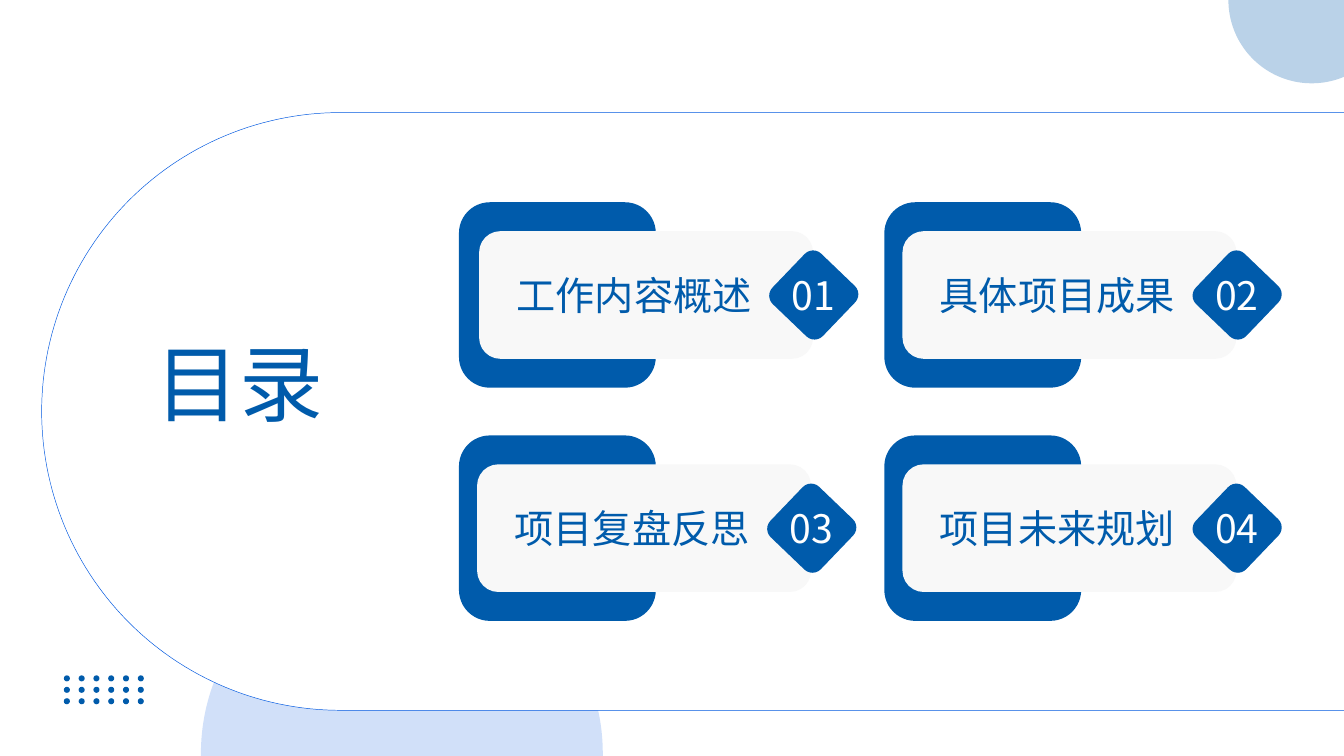
from math import cos, radians, sin
from typing import NamedTuple

from lxml.etree import SubElement
from pptx import Presentation
from pptx.dml.color import RGBColor
from pptx.enum.shapes import MSO_SHAPE as SHAPE
from pptx.enum.text import PP_ALIGN as ALIGN
from pptx.oxml.ns import qn
from pptx.util import Inches, Pt

# The slide is a grid of 2000 columns by 1125 rows.
COLUMNS, ROWS = 2000, 1125
CELL = Inches(20) // COLUMNS

BLUE = RGBColor(0x00, 0x5B, 0xAB)
BRIGHT_BLUE = RGBColor(0x00, 0x58, 0xE0)
PALE_GREY = RGBColor(0xF8, 0xF8, 0xF8)
WHITE = RGBColor(0xFF, 0xFF, 0xFF)
FONT = "Noto Sans CJK SC"
CORNER = 1 / 6

# Topic and how far its plate is inset from the left of the card.
TOPICS = [("工作内容概述", 30), ("具体项目成果", 27),
          ("项目复盘反思", 27), ("项目未来规划", 27)]


class Box(NamedTuple):
    left: float
    top: float
    width: float
    height: float

    def inner(self, dx, dy, width, height):
        return Box(self.left + dx, self.top + dy, width, height)

    def emu(self):
        return [round(length * CELL) for length in self]


def paint(shape, color, opacity=100):
    shape.shadow.inherit = False
    shape.fill.solid()
    shape.fill.fore_color.rgb = color
    shape.line.fill.background()
    if opacity < 100:
        rgb = shape.fill._xPr.find(qn("a:solidFill")).find(qn("a:srgbClr"))
        SubElement(rgb, qn("a:alpha"), val=str(opacity * 1000))


def add_preset(slide, kind, box, color):
    shape = slide.shapes.add_shape(kind, *box.emu())
    paint(shape, color)
    return shape


def add_rounded(slide, box, color):
    shape = add_preset(slide, SHAPE.ROUNDED_RECTANGLE, box, color)
    shape.adjustments[0] = CORNER
    return shape


def arc(center_x, center_y, radius, start, end, steps=120):
    """Points along a circle, in degrees clockwise from the right."""
    angles = [radians(start + (end - start) * i / steps) for i in range(steps + 1)]
    return [(center_x + radius * cos(a), center_y + radius * sin(a)) for a in angles]


def add_outline(slide, points, close):
    corners = [(round(x * CELL), round(y * CELL)) for x, y in points]
    builder = slide.shapes.build_freeform(*corners[0])
    builder.add_line_segments(corners[1:], close=close)
    return builder.convert_to_shape()


def add_text(slide, box, text, size, color):
    frame = slide.shapes.add_textbox(*box.emu()).text_frame
    frame.word_wrap = True
    frame.margin_left = frame.margin_right = 0
    frame.margin_top = frame.margin_bottom = 0
    paragraph = frame.paragraphs[0]
    paragraph.alignment = ALIGN.CENTER
    paragraph.line_spacing = Pt(size * 1.2)
    run = paragraph.add_run()
    run.text = text
    run.font.size = Pt(size)
    run.font.color.rgb = color
    run.font.name = FONT
    SubElement(run.font._element, qn("a:ea"), typeface=FONT)


def add_bottom_circle(slide, box):
    """A half circle standing on the slide's lower edge."""
    radius = box.width / 2
    dome = arc(box.left + radius, box.top + radius, radius, 180, 360)
    bottom = box.top + box.height
    points = [(box.left, bottom), *dome, (box.left + box.width, bottom)]
    paint(add_outline(slide, points, close=True), BRIGHT_BLUE, 18)


def add_corner_circle(slide, box):
    """The lower part of a circle centred on the top edge, cut at the right."""
    radius = box.height
    curve = arc(box.left + radius, box.top, radius, 180, 0)
    right = box.left + box.width
    cut = radius ** 2 - (right - box.left - radius) ** 2
    points = [point for point in curve if point[0] < right]
    points += [(right, box.top + cut ** 0.5), (right, box.top)]
    paint(add_outline(slide, points, close=True), BLUE, 27)


def add_panel(slide, box):
    """A white panel, round on the left and open at the right."""
    radius = box.height / 2
    right = box.left + box.width
    cap = arc(box.left + radius, box.top + radius, radius, 270, 90)
    points = [(right, box.top), *cap, (right, box.top + box.height)]
    panel = add_outline(slide, points, close=False)
    paint(panel, WHITE)
    panel.line.color.rgb = BRIGHT_BLUE
    panel.line.width = Pt(0.5)


def add_card(slide, box, number, topic, inset):
    add_rounded(slide, box.inner(0, 0, 293, 276), BLUE)
    plate = box.inner(inset, 43, 497, 190)
    add_rounded(slide, plate, PALE_GREY)
    add_rounded(slide, plate.inner(446, 43, 104, 104), BLUE).rotation = 43.8
    add_text(slide, plate.inner(440, 60, 115, 70), f"{number:02}", 42, WHITE)
    add_text(slide, plate.inner(54, 60, 353, 70), topic, 42, BLUE)


def add_cards(slide, box, columns=2, gap_x=36, gap_y=71):
    rows = len(TOPICS) // columns
    width = (box.width - gap_x * (columns - 1)) / columns
    height = (box.height - gap_y * (rows - 1)) / rows
    for index, (topic, inset) in enumerate(TOPICS):
        row, column = divmod(index, columns)
        card = box.inner(column * (width + gap_x), row * (height + gap_y), width, height)
        add_card(slide, card, index + 1, topic, inset)


def add_dots(slide, box, columns=6, rows=3, size=9):
    step_x = (box.width - size) / (columns - 1)
    step_y = (box.height - size) / (rows - 1)
    for row in range(rows):
        for column in range(columns):
            dot = box.inner(column * step_x, row * step_y, size, size)
            add_preset(slide, SHAPE.OVAL, dot, BLUE)


def main():
    deck = Presentation()
    deck.slide_width, deck.slide_height = COLUMNS * CELL, ROWS * CELL
    slide = deck.slides.add_slide(deck.slide_layouts[6])
    add_bottom_circle(slide, Box(299, 822, 598, ROWS - 822))
    add_panel(slide, Box(62, 167.5, COLUMNS - 62, 889.5))
    add_cards(slide, Box(683, 301, 1230, 623))
    add_dots(slide, Box(95, 1005, 119, 43))
    add_text(slide, Box(152, 494, 409, 151), "目录", 90, BLUE)
    add_corner_circle(slide, Box(1828, 0, COLUMNS - 1828, 124))
    deck.save("out.pptx")


if __name__ == "__main__":
    main()
